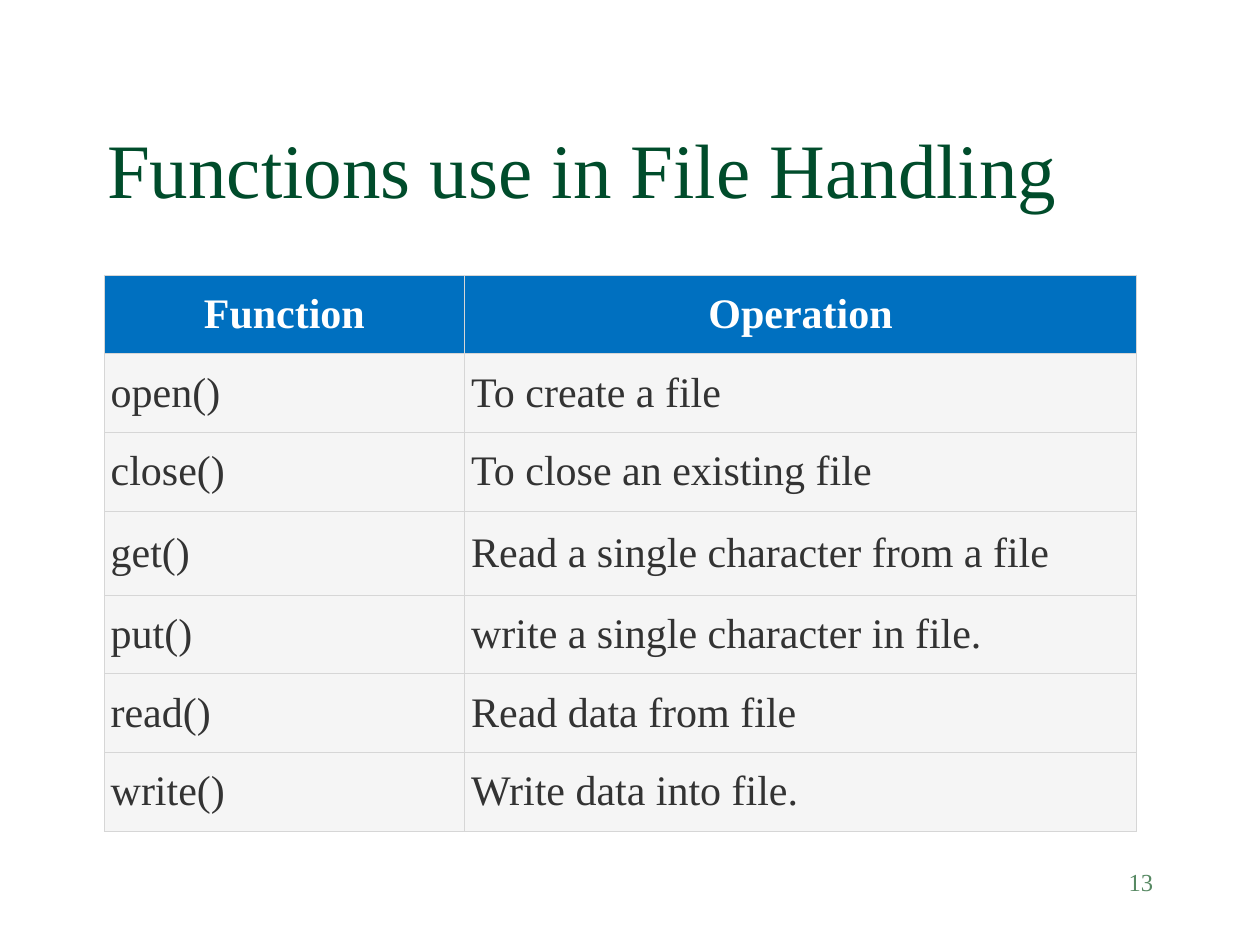
from lxml import etree
from pptx import Presentation
from pptx.dml.color import RGBColor
from pptx.enum.text import MSO_ANCHOR, PP_ALIGN
from pptx.oxml.ns import qn
from pptx.util import Pt

LEFT, CENTER, RIGHT = PP_ALIGN.LEFT, PP_ALIGN.CENTER, PP_ALIGN.RIGHT
TOP, MIDDLE, BOTTOM = MSO_ANCHOR.TOP, MSO_ANCHOR.MIDDLE, MSO_ANCHOR.BOTTOM
TITLE_ONLY = 5
FONT = "Times New Roman"
COLORS = {
    "title": "004C2B",
    "header": "0070C0",
    "header_text": "FFFFFF",
    "body": "F5F5F5",
    "body_text": "333333",
    "border": "D6D6D6",
    "number": "578963",
}
ROWS = [
    ("Function", "Operation"),
    ("open()", "To create a file"),
    ("close()", "To close an existing file"),
    ("get()", "Read a single character from a file"),
    ("put()", "write a single character in file."),
    ("read()", "Read data from file"),
    ("write()", "Write data into file."),
]
COL_WIDTHS = (206, 384)
ROW_HEIGHTS = (45, 45, 45, 48, 45, 45, 45)


def color(name):
    return RGBColor.from_string(COLORS[name])


def set_text(tf, text, size, color_name, align=LEFT, bold=False):
    tf.text = text
    p = tf.paragraphs[0]
    p.alignment = align
    font = p.runs[0].font
    font.name, font.size, font.bold = FONT, Pt(size), bold
    font.color.rgb = color(color_name)


def set_borders(cell):
    tc_pr = cell._tc.get_or_add_tcPr()
    for i, side in enumerate(("lnL", "lnR", "lnT", "lnB")):
        ln = etree.Element(qn("a:" + side), w=str(int(Pt(0.34))))
        fill = etree.SubElement(ln, qn("a:solidFill"))
        etree.SubElement(fill, qn("a:srgbClr"), val=COLORS["border"])
        tc_pr.insert(i, ln)  # borders come before the cell fill


def add_title(slide, x, y, w, h):
    sp = slide.shapes.title
    sp.left, sp.top, sp.width, sp.height = Pt(x), Pt(y), Pt(w), Pt(h)
    tf = sp.text_frame
    tf.vertical_anchor = BOTTOM
    set_text(tf, "Functions use in File Handling", 44, "title")


def add_function_table(slide, x, y):
    frame = slide.shapes.add_table(
        len(ROWS), len(COL_WIDTHS), Pt(x), Pt(y),
        Pt(sum(COL_WIDTHS)), Pt(sum(ROW_HEIGHTS)))
    table = frame.table
    for col, width in zip(table.columns, COL_WIDTHS):
        col.width = Pt(width)
    for r, (row, height) in enumerate(zip(table.rows, ROW_HEIGHTS)):
        row.height = Pt(height)
        is_header = r == 0
        style = "header" if is_header else "body"
        for cell, text in zip(row.cells, ROWS[r]):
            cell.margin_left = cell.margin_right = Pt(3.75)
            cell.margin_top = cell.margin_bottom = Pt(3.75)
            cell.vertical_anchor = MIDDLE
            cell.fill.solid()
            cell.fill.fore_color.rgb = color(style)
            set_borders(cell)
            set_text(cell.text_frame, text, 24, style + "_text",
                     CENTER if is_header else LEFT, is_header)


def add_slide_number(slide, x, y, w, h):
    tf = slide.shapes.add_textbox(Pt(x), Pt(y), Pt(w), Pt(h)).text_frame
    tf.word_wrap = True
    tf.vertical_anchor = TOP
    set_text(tf, "13", 14, "number", RIGHT)


def main():
    prs = Presentation()
    prs.slide_width, prs.slide_height = Pt(720), Pt(540)
    slide = prs.slides.add_slide(prs.slide_layouts[TITLE_ONLY])

    # Title, table, page number
    add_title(slide, 54, 36, 612, 90)
    add_function_table(slide, 59.5, 157)
    add_slide_number(slide, 516, 492, 150, 36)

    prs.save("out.pptx")


if __name__ == "__main__":
    main()
